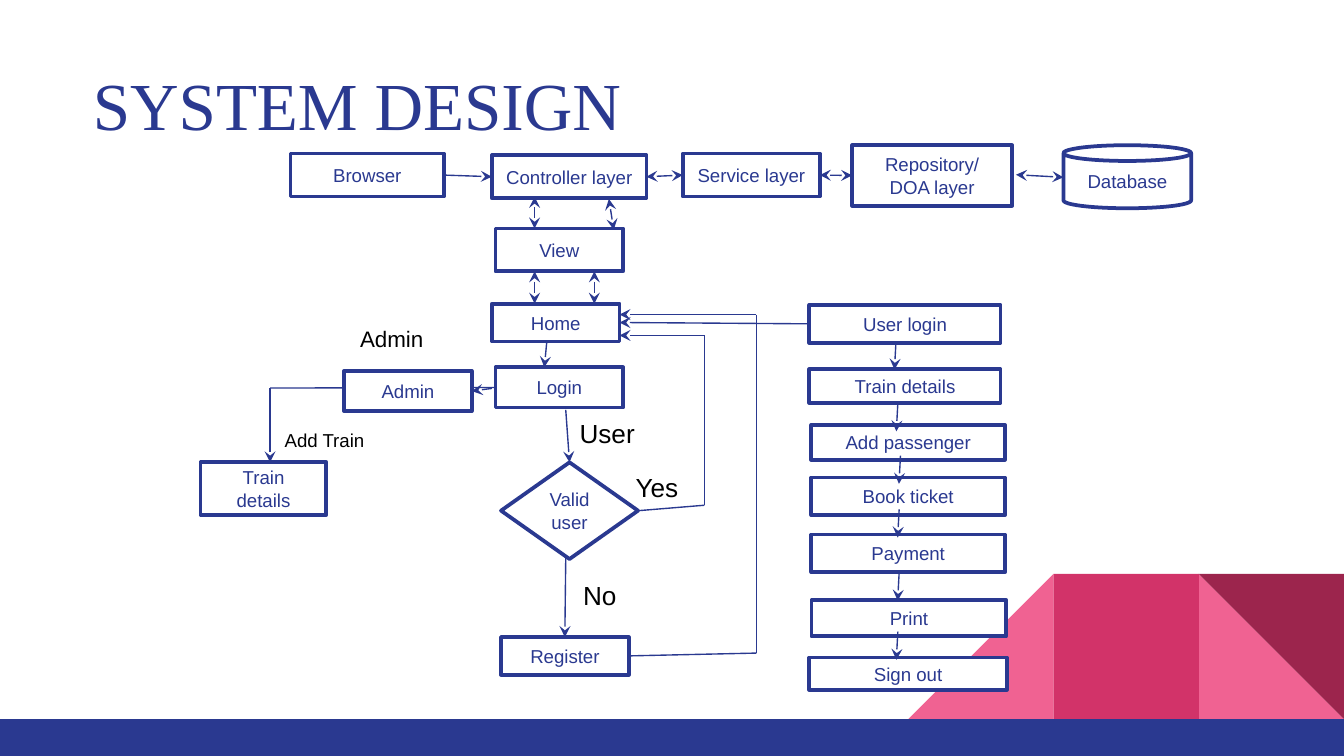
"""Build the system design flow chart slide."""
from itertools import pairwise
from lxml.etree import SubElement
from pptx import Presentation
from pptx.dml.color import RGBColor
from pptx.enum.shapes import MSO_CONNECTOR as Connector, MSO_SHAPE as Shape
from pptx.enum.text import MSO_ANCHOR as Anchor, MSO_AUTO_SIZE as AutoSize, PP_ALIGN as Align
from pptx.oxml.ns import qn
from pptx.util import Pt

color = RGBColor.from_string
BLUE, WHITE, BLACK = "2A3990", "FFFFFF", "000000"
PINK, CRIMSON, MAROON = "F06292", "D23369", "9C254D"
TOP, LEFT, BOTTOM, RIGHT = range(4)
PLAIN, FORWARD, BOTH = (), ("tailEnd",), ("headEnd", "tailEnd")
SLIDE_WIDTH, SLIDE_HEIGHT = 720, 405
TILE, FOOTER_TOP = 77.8, 385.2
NODE_WIDTH, STEP_ARROW = 68.4, 15.1


def write(shape, text, size, font_color, align=Align.LEFT, font="Arial"):
    frame = shape.text_frame
    frame.word_wrap = True
    paragraph = frame.paragraphs[0]
    paragraph.alignment = align
    run = paragraph.add_run()
    run.text = text
    run.font.name, run.font.size = font, Pt(size)
    run.font.color.rgb = color(font_color)
    return frame


def add_line(start, end, arrowheads):
    line = slide.shapes.add_connector(Connector.STRAIGHT, *map(Pt, start + end))
    line.line.color.rgb = color(BLUE)
    line.line.width = Pt(0.75)
    properties = line._element.spPr
    for arrowhead in arrowheads:
        SubElement(properties.find(qn("a:ln")), qn(f"a:{arrowhead}"), type="stealth")
    SubElement(properties, qn("a:effectLst"))
    return line


presentation = Presentation()
presentation.slide_width, presentation.slide_height = Pt(SLIDE_WIDTH), Pt(SLIDE_HEIGHT)
slide = presentation.slides.add_slide(presentation.slide_layouts[5])

tiles = [
    (Shape.RIGHT_TRIANGLE, 1, 0, PINK),
    (Shape.RIGHT_TRIANGLE, 3, 270, PINK),
    (Shape.RECTANGLE, 2, 0, CRIMSON),
    (Shape.RIGHT_TRIANGLE, 1, 180, MAROON),
]
decorations = [
    (kind, SLIDE_WIDTH - column * TILE, FOOTER_TOP - TILE, TILE, TILE, rotation, fill)
    for kind, column, rotation, fill in tiles
]
footer = (Shape.RECTANGLE, 0, FOOTER_TOP, SLIDE_WIDTH, SLIDE_HEIGHT - FOOTER_TOP, 0, BLUE)
for kind, left, top, width, height, rotation, fill in decorations + [footer]:
    decoration = slide.shapes.add_shape(kind, Pt(left), Pt(top), Pt(width), Pt(height))
    decoration.rotation = rotation
    decoration.shadow.inherit = False
    decoration.fill.solid()
    decoration.fill.fore_color.rgb = color(fill)
    decoration.line.fill.background()

title = slide.shapes.title
title.left, title.top, title.width, title.height = Pt(42.5), Pt(26.6), Pt(321.8), Pt(64.1)
frame = write(title, "SYSTEM DESIGN", 36, BLUE, font="Times New Roman")
frame.auto_size = AutoSize.NONE
frame.vertical_anchor = Anchor.MIDDLE
frame.margin_top, frame.margin_bottom = Pt(3.6), Pt(10)

routes = {
    "Login": (LEFT, [(265.7, 207.4), (144.7, 207.9), (144.7, 247.7)]),
    "Valid user": (RIGHT, [(342, 273.6), (377.3, 270.7), (377.3, 179.7), (331.9, 179.7)]),
    "Register": (RIGHT, [(337, 351.4), (405.2, 349.9), (405.2, 168.5), (331.9, 168.5)]),
}
route_starts = {}
for name, (side, points) in routes.items():
    segments = [
        add_line(start, end, FORWARD if end == points[-1] else PLAIN)
        for start, end in pairwise(points)
    ]
    route_starts[name] = segments[0]

layers = [
    ("Browser", Shape.RECTANGLE, 155.7, 82.3, 82.1, 23),
    ("Controller layer", Shape.RECTANGLE, 263.5, 83.2, 82.8, 23),
    ("Service layer", Shape.RECTANGLE, 365.8, 82.3, 73.4, 23),
    ("Repository/ DOA layer", Shape.RECTANGLE, 456.5, 77.8, 85.7, 32.4),
    ("Database", Shape.CAN, 569.7, 77.8, NODE_WIDTH, 33.8),
]
pages = [
    ("View", Shape.RECTANGLE, 265.4, 122.4, NODE_WIDTH, 23),
    ("Home", Shape.RECTANGLE, 263.5, 162.7, NODE_WIDTH, 20.2),
    ("Login", Shape.RECTANGLE, 265.4, 196.8, NODE_WIDTH, 21.6),
    ("Admin", Shape.RECTANGLE, 184.3, 198.7, NODE_WIDTH, 21.6),
    ("Train details", Shape.RECTANGLE, 107.5, 247.7, 67.4, 28.1),
    ("Valid user", Shape.DIAMOND, 268.4, 247.7, 73.4, 51.8),
    ("Register", Shape.RECTANGLE, 268.4, 341.3, NODE_WIDTH, 20.2),
]
user_steps = [
    ("User login", 433.6, 163.4, 102.5, 20.2),
    ("Train details", 433.6, 197.8, 102.5, 18),
    ("Add passenger", 434.7, 227.7, 103.7, 18.7),
    ("Book ticket", 434.7, 255.8, 103.7, 20.2),
    ("Payment", 434.7, 286.4, 103.7, 20.2),
    ("Print", 434.7, 321.6, 104.4, 19.4),
    ("Sign out", 433.6, 352.3, 105.8, 17.3),
]
steps = [(text, Shape.RECTANGLE, *bounds) for text, *bounds in user_steps]
nodes = {}
for text, kind, left, top, width, height in layers + pages + steps:
    node = slide.shapes.add_shape(kind, Pt(left), Pt(top), Pt(width), Pt(height))
    node.shadow.inherit = False
    node.fill.solid()
    node.fill.fore_color.rgb = color(WHITE)
    node.line.color.rgb = color(BLUE)
    node.line.width = Pt(2)
    write(node, text, 10, BLUE, Align.CENTER).vertical_anchor = Anchor.MIDDLE
    nodes[text] = node

for name, (side, points) in routes.items():
    route_starts[name].begin_connect(nodes[name], side)

for name, side, next_name, next_side, arrowheads in [
    ("Browser", RIGHT, "Controller layer", LEFT, FORWARD),
    ("Controller layer", RIGHT, "Service layer", LEFT, BOTH),
    ("Service layer", RIGHT, "Repository/ DOA layer", LEFT, BOTH),
    ("User login", LEFT, "Home", RIGHT, FORWARD),
]:
    link = add_line((0, 0), (0, 0), arrowheads)
    link.begin_connect(nodes[name], side)
    link.end_connect(nodes[next_name], next_side)

for start, name, side in [
    ((303.1, 219.6), "Valid user", TOP),
    ((303.1, 298.8), "Register", TOP),
    ((263.5, 208.1), "Admin", RIGHT),
]:
    add_line(start, start, FORWARD).end_connect(nodes[name], side)

for start, end, arrowheads in [
    ((544.3, 93.6), (569.7, 95), BOTH),
    ((286.4, 122.4), (286.4, 105.5), BOTH),
    ((328.8, 123.1), (326.2, 106.6), BOTH),
    ((286.4, 145.4), (286.4, 162.7), BOTH),
    ((318.4, 145.4), (318.4, 162.7), BOTH),
    ((293, 182.4), (291.6, 196.8), FORWARD),
]:
    add_line(start, end, arrowheads)

for left, top in [(480, 182.9), (481, 216), (482.4, 244.1),
                  (481.7, 272.9), (481.7, 306.7), (481, 338.4)]:
    add_line((left, top), (left - 0.8, top + STEP_ARROW), FORWARD)

for text, left, top, width, height, size in [
    ("Admin", 185.8, 170.9, 64.8, 21.6, 12),
    ("User", 303.4, 219.9, 54.7, 24.5, 14),
    ("No", 305.3, 306.7, 56.9, 24.5, 14),
    ("Yes", 333.4, 249.1, 77.8, 24.5, 14),
    ("Add Train", 145.4, 226.1, 73.4, 19.4, 10),
]:
    label = slide.shapes.add_textbox(Pt(left), Pt(top), Pt(width), Pt(height))
    write(label, text, size, BLACK)

presentation.save("out.pptx")
